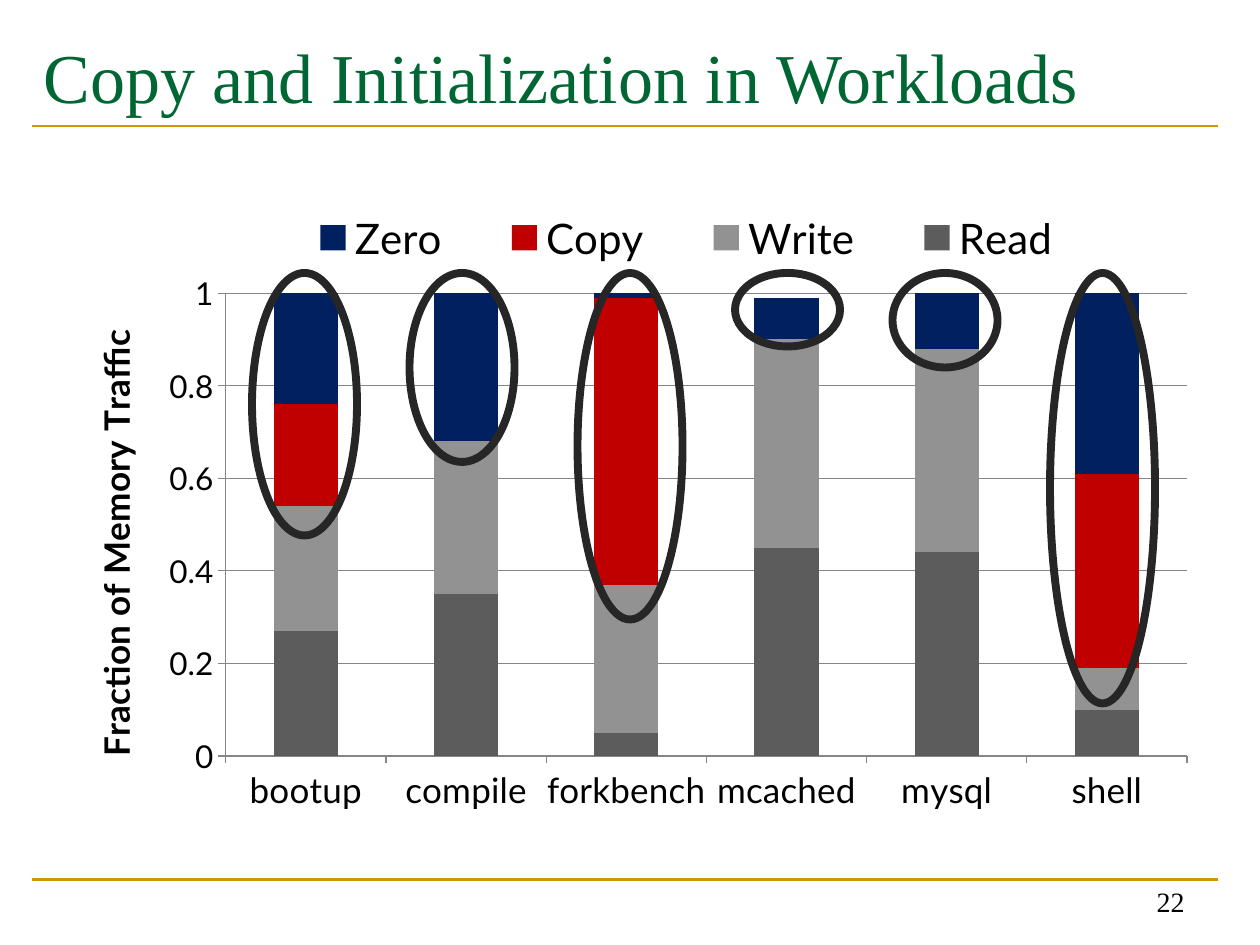
from dataclasses import dataclass

from lxml.etree import SubElement as Sub
from pptx import Presentation
from pptx.chart.data import CategoryChartData as Data
from pptx.dml.color import RGBColor as Rgb
from pptx.enum.chart import XL_CHART_TYPE as Kind, XL_LEGEND_POSITION as Side, XL_TICK_MARK as Tick
from pptx.enum.shapes import MSO_CONNECTOR as Link, MSO_SHAPE as Form
from pptx.enum.text import MSO_ANCHOR as Anchor, PP_ALIGN as Align
from pptx.oxml import parse_xml
from pptx.oxml.ns import nsdecls, qn
from pptx.util import Inches, Pt


@dataclass(frozen=True)
class Theme:
    """Colours, faces and type sizes of the slide."""
    ink: str = "000000"
    head: str = "006633"
    rule: str = "CC9900"
    ring: str = "262626"
    axis: str = "868686"
    serif: str = "Times New Roman"
    sans: str = "Lato"
    title: int = 40
    page: int = 16
    key: int = 24
    label: int = 20
    tick: int = 18


THEME = Theme()
COLS = 120
WIDE, HIGH = 10, 7.5
CATS = ["bootup", "compile", "forkbench", "mcached", "mysql", "shell"]
SERIES = [
    ("Read", "5C5C5C", (0.27, 0.35, 0.05, 0.45, 0.44, 0.1)),
    ("Write", "929292", (0.27, 0.33, 0.32, 0.45, 0.44, 0.09)),
    ("Copy", "C00000", (0.22, 0, 0.62, 0, 0, 0.42)),
    ("Zero", "002060", (0.24, 0.32, 0.01, 0.09, 0.12, 0.39)),
]
RINGS = [(24, 25), (39, 18), (55, 33), (70, 7), (85, 9), (100, 41)]


def grid(*cells):
    """Turn grid cells into lengths."""
    return [Inches(cell * WIDE / COLS) for cell in cells]


def style(font, size, color=THEME.ink, face=THEME.sans, bold=False):
    """Set the look of a font."""
    font.size, font.name, font.bold = Pt(size), face, bold
    font.color.rgb = Rgb.from_string(color)


def stroke(line, color, width):
    """Set the colour and width of a line."""
    line.color.rgb = Rgb.from_string(color)
    line.width = Pt(width)


def write(slide, text, cells, align=Align.LEFT, anchor=Anchor.TOP, inset=0.05, **look):
    """Add a text box on the grid."""
    frame = slide.shapes.add_textbox(*grid(*cells)).text_frame
    frame.word_wrap = True
    frame.vertical_anchor = anchor
    frame.margin_top = Inches(inset)
    para = frame.paragraphs[0]
    para.alignment = align
    run = para.add_run()
    run.text = text
    style(run.font, **look)


def rule(slide, row):
    """Draw a line across the slide."""
    line = slide.shapes.add_connector(Link.STRAIGHT, *grid(3, row, 116, row))
    stroke(line.line, THEME.rule, 1.5)
    Sub(line.element.spPr, qn("a:effectLst"))


def ring(slide, col, rows):
    """Circle the top part of a column."""
    oval = slide.shapes.add_shape(Form.OVAL, *grid(col, 26, 10, rows))
    oval.shadow.inherit = False
    oval.fill.background()
    stroke(oval.line, THEME.ring, 4.5)


def place(node, index, shares, inner=False):
    """Give a chart element a fixed place, in shares of the chart."""
    for old in node.findall(qn("c:layout")):
        node.remove(old)
    target = '<c:layoutTarget val="inner"/>' if inner else ""
    modes = "".join(f'<c:{axis}Mode val="edge"/>' for axis in "xy")
    sizes = "".join(f'<c:{key} val="{val}"/>' for key, val in zip("xywh", shares))
    node.insert(index, parse_xml(
        f'<c:layout {nsdecls("c")}><c:manualLayout>{target}{modes}{sizes}'
        "</c:manualLayout></c:layout>"))


def dress(axis, size):
    """Set the type, ticks and line of an axis."""
    style(axis.tick_labels.font, size)
    axis.major_tick_mark, axis.minor_tick_mark = Tick.OUTSIDE, Tick.NONE
    stroke(axis.format.line, THEME.axis, 0.75)


def scale(axis, title):
    """Set the range, grid and title of the value axis."""
    dress(axis, THEME.tick)
    axis.minimum_scale, axis.maximum_scale, axis.major_unit = 0, 1, 0.2
    axis.tick_labels.number_format = "General"
    axis.tick_labels.number_format_is_linked = False
    stroke(axis.major_gridlines.format.line, THEME.axis, 0.75)
    frame = axis.axis_title.text_frame
    run = frame.paragraphs[0].add_run()
    run.text = title
    style(run.font, THEME.label, bold=True)


def plot(slide):
    """Add the stacked chart with its legend."""
    data = Data()
    data.categories = CATS
    for name, _, vals in SERIES:
        data.add_series(name, vals)
    chart = slide.shapes.add_chart(
        Kind.COLUMN_STACKED, *grid(8, 17, 107.2, 62.8), data).chart
    style(chart.font, 10)
    chart.has_title = False
    bars = chart.plots[0]
    bars.gap_width, bars.overlap, bars.vary_by_categories = 150, 100, False
    for item, (_, color, _) in zip(bars.series, SERIES):
        item.format.fill.solid()
        item.format.fill.fore_color.rgb = Rgb.from_string(color)
    dress(chart.category_axis, THEME.label)
    scale(chart.value_axis, "Fraction of Memory Traffic")
    chart.has_legend = True
    chart.legend.position = Side.RIGHT
    chart.legend.include_in_layout = False
    style(chart.legend.font, THEME.key)
    root = chart.element
    for body in root.xpath("//c:valAx/c:title//a:bodyPr"):
        body.set("rot", "-5400000")
        body.set("vert", "horz")
    place(root.find(".//" + qn("c:plotArea")), 0, (0.126, 0.174, 0.854, 0.702), True)
    place(root.find(".//" + qn("c:legend")), 1, (0.16, 0.04, 0.75, 0.1))


def main():
    """Build and save the slide."""
    deck = Presentation()
    deck.slide_width, deck.slide_height = Inches(WIDE), Inches(HIGH)
    slide = deck.slides.add_slide(deck.slide_layouts[6])
    for row in (83.75, 12):
        rule(slide, row)
    write(slide, "Copy and Initialization in Workloads", (3, 2, 113, 14), inset=0.1,
          size=THEME.title, color=THEME.head, face=THEME.serif)
    write(slide, "22", (86, 82, 28, 6), align=Align.RIGHT, anchor=Anchor.BOTTOM,
          size=THEME.page, face=THEME.serif)
    plot(slide)
    for col, rows in RINGS:
        ring(slide, col, rows)
    deck.save("out.pptx")


if __name__ == "__main__":
    main()
